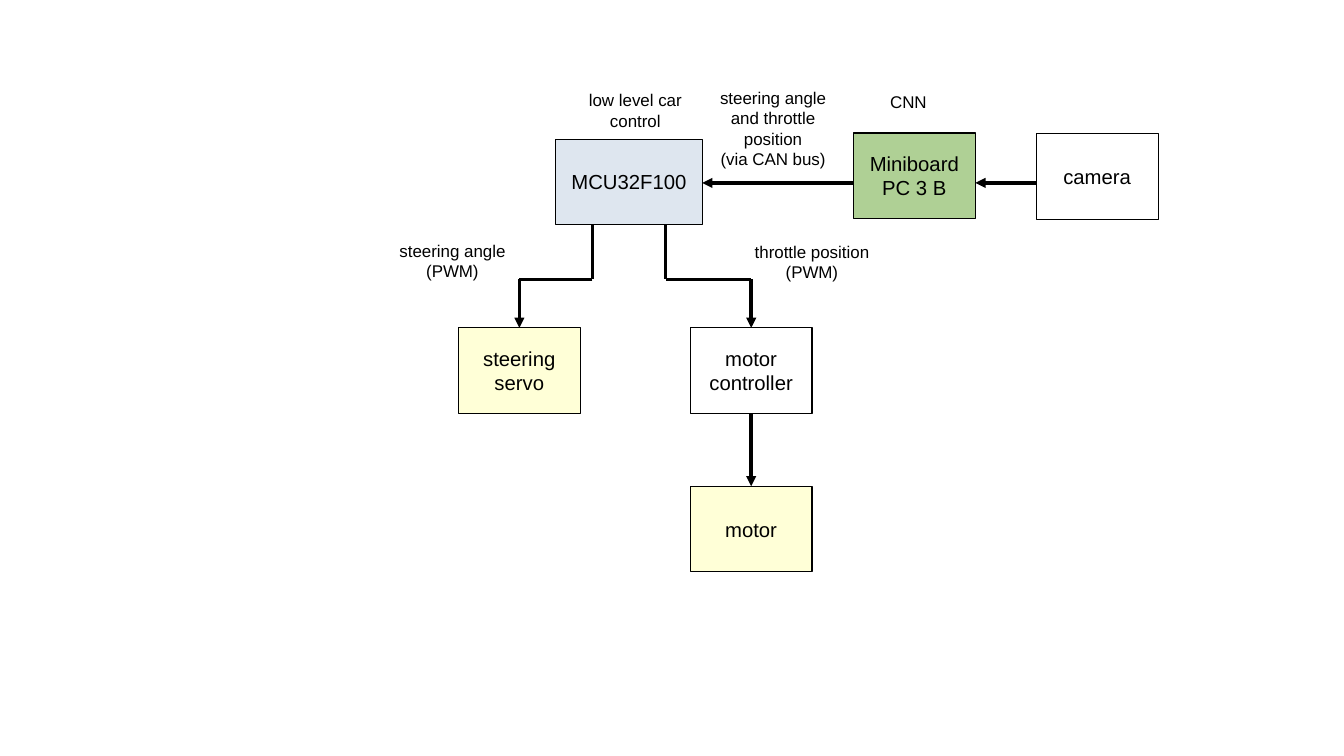
from itertools import pairwise

from lxml.etree import SubElement
from pptx import Presentation
from pptx.dml.color import RGBColor
from pptx.enum.shapes import MSO_CONNECTOR as CONNECTOR, MSO_SHAPE as SHAPE
from pptx.enum.text import MSO_ANCHOR as ANCHOR, PP_ALIGN as ALIGN
from pptx.oxml.ns import qn
from pptx.util import Cm, Pt

COLORS = {
    "ink": "000000",
    "controller": "DEE6EF",
    "vision": "AFD095",
    "actuator": "FFFFD7",
}


def color(name):
    return RGBColor.from_string(COLORS[name])


class Diagram:
    font = "Arial"
    box_w, box_h = 2.54, 1.78

    def __init__(self, slide):
        self.slide = slide

    def set_text(self, tf, lines, size, anchor):
        tf.word_wrap = True
        tf.vertical_anchor = anchor
        for i, line in enumerate(lines):
            p = tf.add_paragraph() if i else tf.paragraphs[0]
            p.text = line
            p.alignment = ALIGN.CENTER
            p.font.name = self.font
            p.font.size = Pt(size)
            p.font.color.rgb = color("ink")

    def box(self, text, x, y, fill=None, w=box_w):
        sp = self.slide.shapes.add_shape(
            SHAPE.RECTANGLE, Cm(x), Cm(y), Cm(w), Cm(self.box_h))
        sp.shadow.inherit = False
        if fill:
            sp.fill.solid()
            sp.fill.fore_color.rgb = color(fill)
        else:
            sp.fill.background()
        sp.line.color.rgb = color("ink")
        sp.line.width = Pt(0)
        self.set_text(sp.text_frame, [text], 12, ANCHOR.MIDDLE)

    def label(self, lines, x, y, h, w=2.79):
        sp = self.slide.shapes.add_textbox(Cm(x), Cm(y), Cm(w), Cm(h))
        self.set_text(sp.text_frame, lines, 10, ANCHOR.TOP)

    def arrow(self, *points):
        """Join the points with straight lines and point at the last one."""
        for (x1, y1), (x2, y2) in pairwise(points):
            line = self.slide.shapes.add_connector(
                CONNECTOR.STRAIGHT, Cm(x1), Cm(y1), Cm(x2), Cm(y2))
            line.line.color.rgb = color("ink")
            line.line.width = Pt(0)
            SubElement(line._element.spPr, qn("a:effectLst"))
        ln = line._element.spPr.find(qn("a:ln"))
        SubElement(ln, qn("a:tailEnd"), type="triangle")


def main():
    prs = Presentation()
    prs.slide_width, prs.slide_height = Cm(28), Cm(15.75)
    d = Diagram(prs.slides.add_slide(prs.slide_layouts[6]))

    mcu_x, mcu_y, mcu_w = 11.58, 2.9, 3.05
    vision_x, camera_x = 17.78, 21.59
    servo_x, motor_x = 9.55, 14.38
    drive_y, motor_y = 6.83, 10.13
    signal_y, bend_y = 3.81, 5.82
    mcu_bottom = mcu_y + d.box_h
    servo_mid, motor_mid = (x + d.box_w / 2 for x in (servo_x, motor_x))

    d.box("MCU32F100", mcu_x, mcu_y, "controller", mcu_w)
    d.box("Miniboard PC 3 B", vision_x, 2.77, "vision")
    d.box("camera", camera_x, 2.79)
    d.box("steering servo", servo_x, drive_y, "actuator")
    d.box("motor controller", motor_x, drive_y)
    d.box("motor", motor_x, motor_y, "actuator")

    d.arrow((camera_x, signal_y), (vision_x + d.box_w, signal_y))
    d.arrow((vision_x, signal_y), (mcu_x + mcu_w, signal_y))
    for out_x, mid in ((12.34, servo_mid), (13.87, motor_mid)):
        d.arrow((out_x, mcu_bottom), (out_x, bend_y), (mid, bend_y), (mid, drive_y))
    d.arrow((motor_mid, drive_y + d.box_h), (motor_mid, motor_y))

    d.label(["low level car control"], 11.84, 1.75, 1.04)
    d.label(["steering angle and throttle position", "(via CAN bus)"], 14.71, 1.7, 1.83)
    d.label(["CNN"], 17.53, 1.78, 1.02)
    d.label(["steering angle", "(PWM)"], 8.03, 4.88, 1.19)
    d.label(["throttle position", "(PWM)"], 15.39, 4.9, 1.17, 3.05)

    prs.save("out.pptx")


if __name__ == "__main__":
    main()
